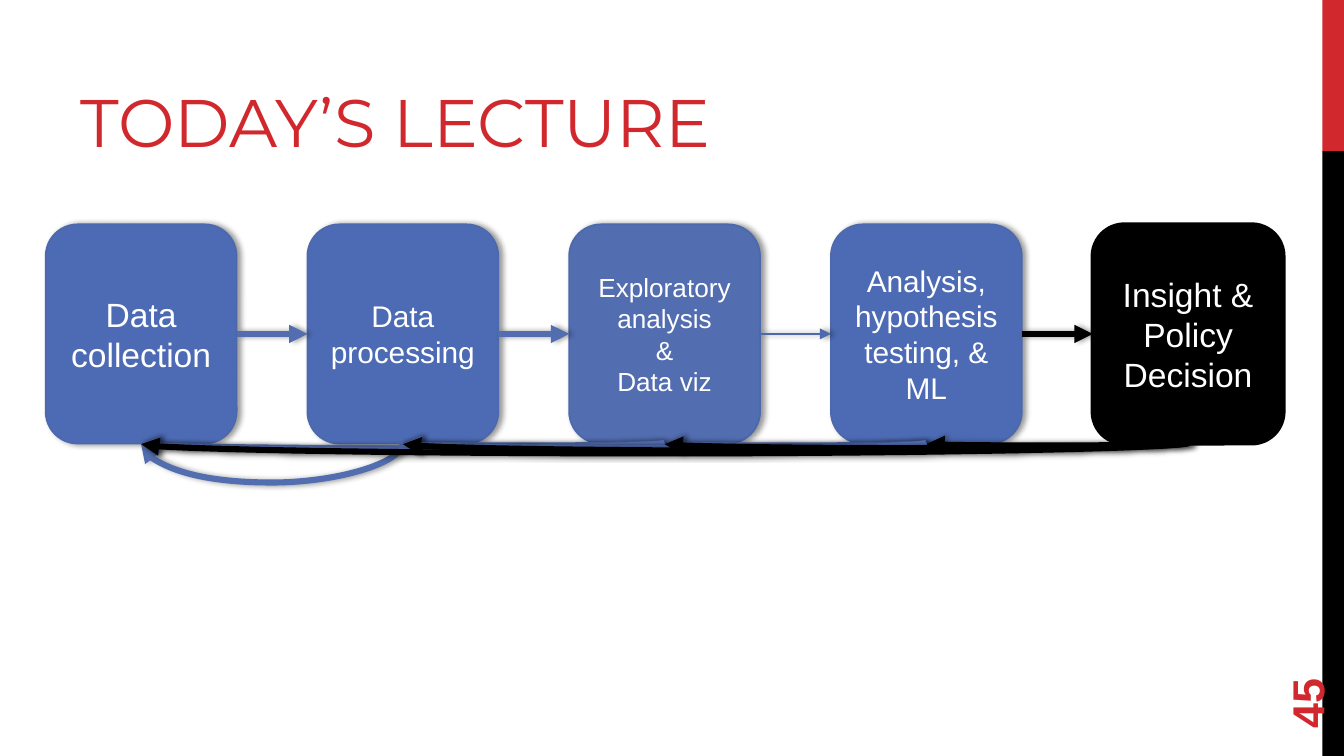
from pptx import Presentation
from pptx.dml.color import RGBColor
from pptx.enum.shapes import MSO_CONNECTOR as Link, MSO_SHAPE as Shape
from pptx.enum.text import MSO_ANCHOR as Anchor, MSO_AUTO_SIZE as AutoSize, PP_ALIGN as Align
from pptx.oxml import parse_xml
from pptx.oxml.ns import nsdecls, qn
from pptx.util import Inches, Pt

COLORS = {"red": "D1282E", "black": "000000", "white": "FFFFFF",
          "blue": "4D6BB4", "slate": "526DB0", "edge": "4D69AD"}

SLIDE_WIDTH = 10
SLIDE_HEIGHT = SLIDE_WIDTH * 9 / 16
BOX_TOP, BOX_WIDTH, BOX_HEIGHT = 1.67, 1.42, 1.63
FIRST_LEFT, LAST_LEFT = 0.34, 8.13
BOX_BOTTOM = BOX_TOP + BOX_HEIGHT

# text, size, fill, edge, edge width, arrow color, arrow width, feedback color
STAGES = [
    ("Data collection", 18, "blue", "edge", 1, None, None, None),
    ("Data processing", 16, "blue", "edge", 1, "slate", 3.25, "slate"),
    ("Exploratory analysis\n&\nData viz", 14, "slate", "edge", 1, "slate", 3.25, "slate"),
    ("Analysis, hypothesis testing, & ML", 16, "blue", "edge", 1, "edge", 1, "slate"),
    ("Insight & Policy Decision", 18, "black", "black", 2.25, "black", 3.25, "black"),
]


def rgb(name):
    return RGBColor.from_string(COLORS[name])


def write(frame, text, *, size, color, font="Arial", bold=False,
          align=Align.LEFT, anchor=Anchor.MIDDLE):
    frame.word_wrap = True
    frame.auto_size = AutoSize.NONE
    frame.vertical_anchor = anchor
    frame.text = text
    for paragraph in frame.paragraphs:
        paragraph.alignment = align
        paragraph.font.name = font
        paragraph.font.size = Pt(size)
        paragraph.font.bold = bold
        paragraph.font.color.rgb = rgb(color)


def cast_shadow(properties):
    effects = properties.find(qn("a:effectLst"))
    if effects is None:
        effects = parse_xml(f'<a:effectLst {nsdecls("a")}/>')
        properties.append(effects)
    effects.append(parse_xml(
        f'<a:outerShdw {nsdecls("a")} blurRad="{Pt(3.1)}" dist="{Pt(1.8)}" dir="0">'
        f'<a:srgbClr val="{COLORS["black"]}"><a:alpha val="40000"/></a:srgbClr>'
        '</a:outerShdw>'))


class LectureSlide:
    """Holds the style and the slide being drawn."""

    def __init__(self, slide):
        self.slide = slide
        self.shapes = slide.shapes

    def title(self, text, left, top, width, height):
        title = self.shapes.title
        title.left, title.top = Inches(left), Inches(top)
        title.width, title.height = Inches(width), Inches(height)
        write(title.text_frame, text, size=36, color="red",
              font="Montserrat", anchor=Anchor.BOTTOM)

    def band(self, top, height, color):
        band = self.shapes.add_shape(Shape.RECTANGLE, Inches(9.84), Inches(top),
                                     Inches(0.16), Inches(height))
        band.shadow.inherit = False
        band.fill.solid()
        band.fill.fore_color.rgb = rgb(color)
        band.line.fill.background()

    def stage(self, left, text, size, fill, edge, edge_width):
        stage = self.shapes.add_shape(Shape.ROUNDED_RECTANGLE, Inches(left), Inches(BOX_TOP),
                                      Inches(BOX_WIDTH), Inches(BOX_HEIGHT))
        stage.shadow.inherit = False
        stage.fill.solid()
        stage.fill.fore_color.rgb = rgb(fill)
        stage.line.color.rgb = rgb(edge)
        stage.line.width = Pt(edge_width)
        if fill != "black":
            cast_shadow(stage._element.spPr)
        write(stage.text_frame, text, size=size, color="white", align=Align.CENTER)
        return stage

    def link(self, kind, start, end, color, width):
        link = self.shapes.add_connector(kind, *map(Inches, start + end))
        link.line.color.rgb = rgb(color)
        link.line.width = Pt(width)
        properties = link._element.spPr
        properties.find(qn("a:ln")).append(
            parse_xml(f'<a:tailEnd {nsdecls("a")} type="triangle"/>'))
        cast_shadow(properties)
        return link

    def arrow(self, source, target, color, width):
        arrow = self.link(Link.STRAIGHT, (0, 0), (0, 0), color, width)
        arrow.begin_connect(source, 3)
        arrow.end_connect(target, 1)

    def feedback(self, start_x, end_x, depth, color):
        """Curve that sags below the boxes: a narrow upright connector, turned by 90 degrees."""
        thin = 0.01
        middle, half = (start_x + end_x) / 2, (start_x - end_x) / 2
        curve = self.link(Link.CURVE, (middle - thin / 2, BOX_BOTTOM - half),
                          (middle + thin / 2, BOX_BOTTOM + half), color, 3.25)
        properties = curve._element.spPr
        properties.find(qn("a:xfrm")).set("rot", "5400000")
        properties.find(qn("a:prstGeom")).get_or_add_avLst().append(parse_xml(
            f'<a:gd {nsdecls("a")} name="adj1" fmla="val {round(depth / thin * 100000)}"/>'))

    def page_number(self, text, left, top, width, height):
        number = self.shapes.add_textbox(Inches(left), Inches(top), Inches(width), Inches(height))
        number.rotation = 270
        write(number.text_frame, text, size=24, color="red", bold=True)


def main():
    deck = Presentation()
    deck.slide_width, deck.slide_height = Inches(SLIDE_WIDTH), Inches(SLIDE_HEIGHT)
    page = LectureSlide(deck.slides.add_slide(deck.slide_layouts[5]))

    red_height = SLIDE_HEIGHT / 5
    page.band(0, red_height, "red")
    page.band(red_height, SLIDE_HEIGHT - red_height, "black")
    page.title("TODAY’S LECTURE", 0.5, 0.13, 6.33, 1.12)

    step = (LAST_LEFT - FIRST_LEFT) / (len(STAGES) - 1)
    centers = [FIRST_LEFT + step * i + BOX_WIDTH / 2 for i in range(len(STAGES))]
    previous = None
    for i, (text, size, fill, edge, edge_width, arrow, arrow_width, loop) in enumerate(STAGES):
        stage = page.stage(centers[i] - BOX_WIDTH / 2, text, size, fill, edge, edge_width)
        if previous is not None:
            page.arrow(previous, stage, arrow, arrow_width)
        for earlier in reversed(range(i)):
            depth = 0.3 if i == 1 else 0.02 * (i - earlier)
            page.feedback(centers[i], centers[earlier], depth, loop)
        previous = stage

    page.page_number("45", 9.18, 4.78, 1.08, 0.4)
    deck.save("out.pptx")


if __name__ == "__main__":
    main()
